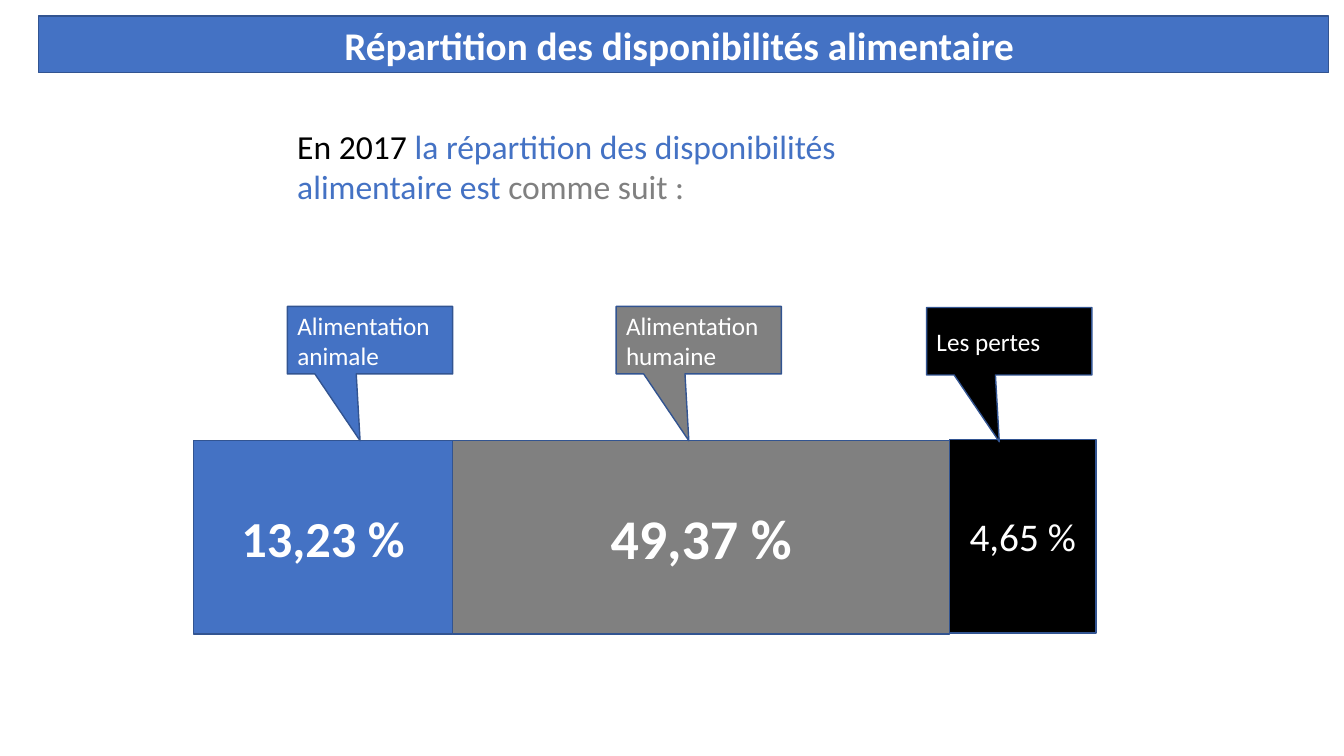
from pptx import Presentation
from pptx.dml.color import RGBColor
from pptx.enum.shapes import MSO_SHAPE
from pptx.enum.text import MSO_ANCHOR, MSO_AUTO_SIZE, PP_ALIGN
from pptx.util import Inches, Pt

RECTANGLE = MSO_SHAPE.RECTANGLE
CALLOUT = MSO_SHAPE.RECTANGULAR_CALLOUT
MIDDLE = MSO_ANCHOR.MIDDLE
GROW = MSO_AUTO_SIZE.SHAPE_TO_FIT_TEXT
LEFT, CENTER = PP_ALIGN.LEFT, PP_ALIGN.CENTER

COLORS = {"blue": "4472C4", "gray": "808080", "black": "000000",
          "white": "FFFFFF", "outline": "325491"}

deck = Presentation()
deck.slide_width, deck.slide_height = Inches(13.33), Inches(7.5)
page = deck.slides.add_slide(deck.slide_layouts[6])
column, row = deck.slide_width / 100, deck.slide_height / 100


def write(para, text, color, **formats):
    span = para.add_run()
    span.text = text
    span.font.color.rgb = RGBColor.from_string(COLORS[color])
    for name, value in {"name": "Calibri", **formats}.items():
        setattr(span.font, name, value)


def add_box(kind, left, top, width, height, fill, lines, align, **formats):
    box = page.shapes.add_shape(kind, int(left * column), int(top * row),
                                int(width * column), int(height * row))
    box.shadow.inherit = False
    box.fill.solid()
    box.fill.fore_color.rgb = RGBColor.from_string(COLORS[fill])
    box.line.color.rgb = RGBColor.from_string(COLORS["outline"])
    box.line.width = Pt(1)
    frame = box.text_frame
    frame.word_wrap = True
    frame.vertical_anchor = MIDDLE
    for index, text in enumerate(lines):
        para = frame.add_paragraph() if index else frame.paragraphs[0]
        para.alignment = align
        write(para, text, "white", **formats)
    return box


add_box(RECTANGLE, 2.85, 2.13, 96.02, 7.47, "blue",
        ["Répartition des disponibilités alimentaire "], CENTER,
        size=Pt(28), bold=True)

intro = page.shapes.add_textbox(int(21.38 * column), int(16 * row),
                                int(46.21 * column), int(12.13 * row))
intro.text_frame.word_wrap = True
intro.text_frame.auto_size = GROW
for text, color in [
    ("En 2017 ", "black"),
    ("la répartition des disponibilités alimentaire est ", "blue"),
    ("comme suit :", "gray"),
]:
    write(intro.text_frame.paragraphs[0], text, color, size=Pt(24))

bar_left = 14.4
for share, color, width, top, size, bold in [
    ("13,23 %", "blue", 19.28, 58.27, 36, True),
    ("49,37 %", "gray", 36.98, 58.27, 40, True),
    ("4,65 %", "black", 10.88, 58.13, 28, False),
]:
    add_box(RECTANGLE, bar_left, top, width, 25.6, color, [share], CENTER,
            size=Pt(size), bold=bold)
    bar_left += width

for lines, color, left, top in [
    (["Alimentation", "animale"], "blue", 21.38, 40.53),
    (["Alimentation", "humaine"], "gray", 45.84, 40.53),
    (["Les pertes"], "black", 68.94, 40.67),
]:
    label = add_box(CALLOUT, left, top, 12.3, 8.93, color, lines, LEFT,
                    size=Pt(18))
    label.adjustments[0], label.adjustments[1] = -0.06, 1.49

deck.save("out.pptx")
